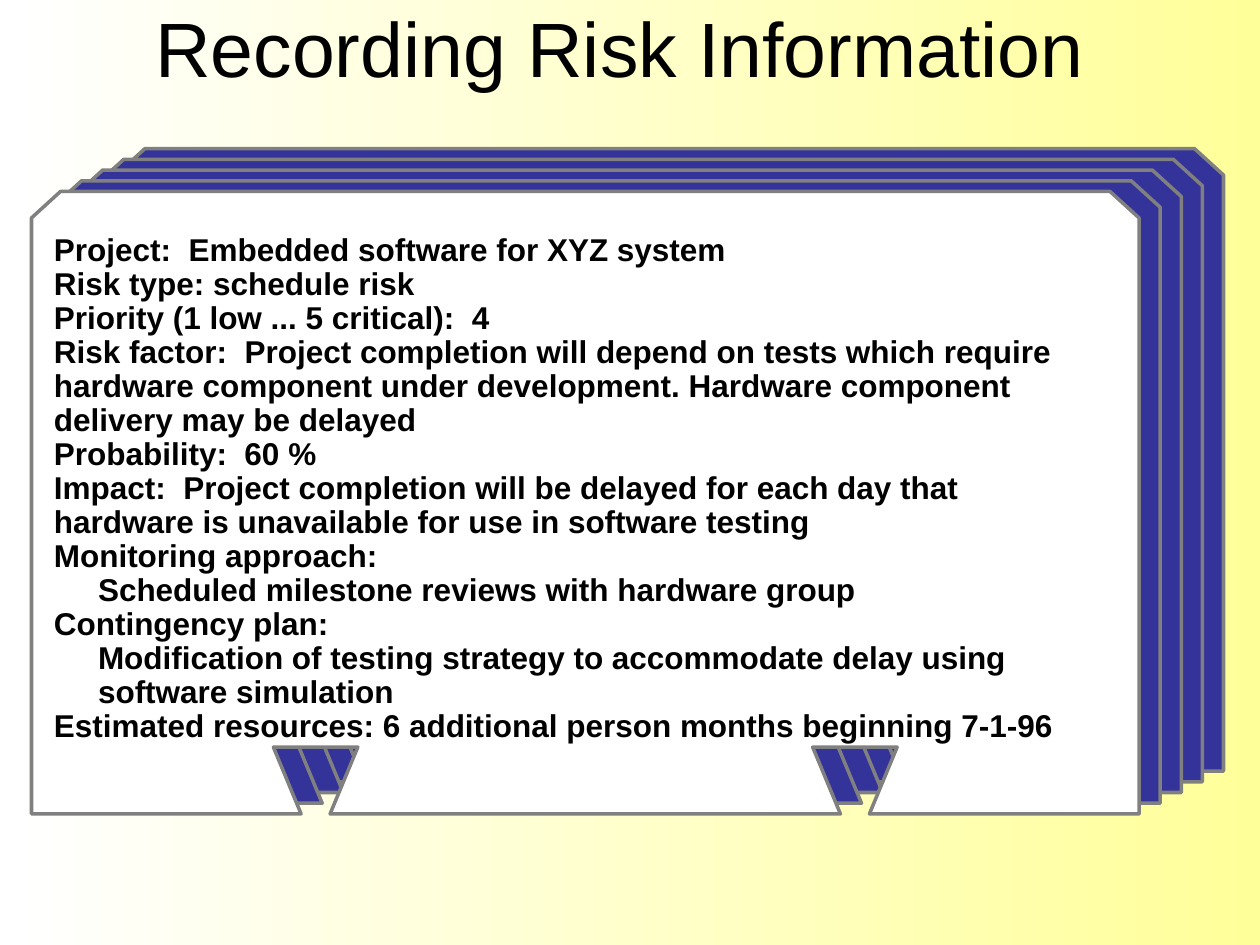
import pptx
import pptx.util
import pptx.dml.color
import pptx.enum.text
from pptx.util import Inches, Pt

RGBColor = pptx.dml.color.RGBColor
BLACK = RGBColor(0x00, 0x00, 0x00)
WHITE = RGBColor(0xFF, 0xFF, 0xFF)
YELLOW = RGBColor(0xFF, 0xFF, 0x99)
NAVY = RGBColor(0x33, 0x33, 0x99)
GRAY = RGBColor(0x80, 0x80, 0x80)
FONT = "Arial"

# Content: (indented, text) for each line on the front card
TITLE = "Recording Risk Information"
CARD_LINES = [
    (False, "Project:  Embedded software for XYZ system"),
    (False, "Risk type: schedule risk"),
    (False, "Priority (1 low ... 5 critical):  4"),
    (False, "Risk factor:  Project completion will depend on tests which require"),
    (False, "hardware component under development. Hardware component"),
    (False, "delivery may be delayed"),
    (False, "Probability:  60 %"),
    (False, "Impact:  Project completion will be delayed for each day that"),
    (False, "hardware is unavailable for use in software testing"),
    (False, "Monitoring approach:"),
    (True, "Scheduled milestone reviews with hardware group"),
    (False, "Contingency plan:"),
    (True, "Modification of testing strategy to accommodate delay using"),
    (True, "software simulation"),
    (False, "Estimated resources: 6 additional person months beginning 7-1-96"),
]

# Card stack geometry, in inches
CARD_COUNT = 5
BACK_CARD = (0.92, 1.18)
FRONT_CARD = (0.25, 1.52)
CARD_WIDTH, CARD_HEIGHT = 8.79, 4.94
NOTCH_TOP = 4.41
LEFT_HALF = [
    (2.59, NOTCH_TOP), (1.92, NOTCH_TOP), (2.14, CARD_HEIGHT),
    (0, CARD_HEIGHT), (0, 0.21), (0.23, 0),
]
# The notch's inner lower corner starts the outline; the right half mirrors it
HALF_OUTLINE = [(2.37, CARD_HEIGHT)] + LEFT_HALF
OUTLINE = HALF_OUTLINE + [(CARD_WIDTH - x, y) for x, y in reversed(HALF_OUTLINE)]


def add_card(page, left, top, color):
    points = [(Inches(left + x), Inches(top + y)) for x, y in OUTLINE]
    builder = page.shapes.build_freeform(*points[0])
    builder.add_line_segments(points[1:], close=True)
    card = builder.convert_to_shape()
    card.shadow.inherit = False
    card.fill.solid()
    card.fill.fore_color.rgb = color
    card.line.color.rgb = GRAY
    card.line.width = Pt(2)


def set_font(para, size, bold):
    para.font.name = FONT
    para.font.size = Pt(size)
    para.font.bold = bold
    para.font.color.rgb = BLACK


def main():
    deck = pptx.Presentation()
    deck.slide_width, deck.slide_height = Inches(10), Inches(7.5)
    page = deck.slides.add_slide(deck.slide_layouts[5])

    # Background, yellow at the right fading to white at the left
    background = page.background.fill
    background.gradient()
    background.gradient_angle = 180
    for stop, color in zip(background.gradient_stops, (YELLOW, WHITE)):
        stop.color.rgb = color

    # Title
    title = page.shapes.title
    title.left, title.top = Inches(0.92), Inches(0.08)
    title.width, title.height = Inches(8), Inches(0.58)
    title.text_frame.text = TITLE
    title.text_frame.auto_size = pptx.enum.text.MSO_AUTO_SIZE.NONE
    title.text_frame.vertical_anchor = pptx.enum.text.MSO_ANCHOR.MIDDLE
    heading = title.text_frame.paragraphs[0]
    heading.alignment = pptx.enum.text.PP_ALIGN.CENTER
    set_font(heading, 44, False)

    # Cards, from back to front
    for index in range(CARD_COUNT):
        share = index / (CARD_COUNT - 1)
        left, top = (back + (front - back) * share
                     for back, front in zip(BACK_CARD, FRONT_CARD))
        add_card(page, left, top, WHITE if index == CARD_COUNT - 1 else NAVY)

    # Text on the front card
    box = page.shapes.add_textbox(Inches(0.33), Inches(1.81), Inches(8.5), Inches(4.72))
    frame = box.text_frame
    frame.word_wrap = True
    for index, (indented, text) in enumerate(CARD_LINES):
        para = frame.add_paragraph() if index else frame.paragraphs[0]
        para.text = text
        para.line_spacing = 0.9
        if indented:
            para._p.get_or_add_pPr().set("marL", str(Inches(0.35)))
        set_font(para, 18, True)

    deck.save("out.pptx")


if __name__ == "__main__":
    main()
